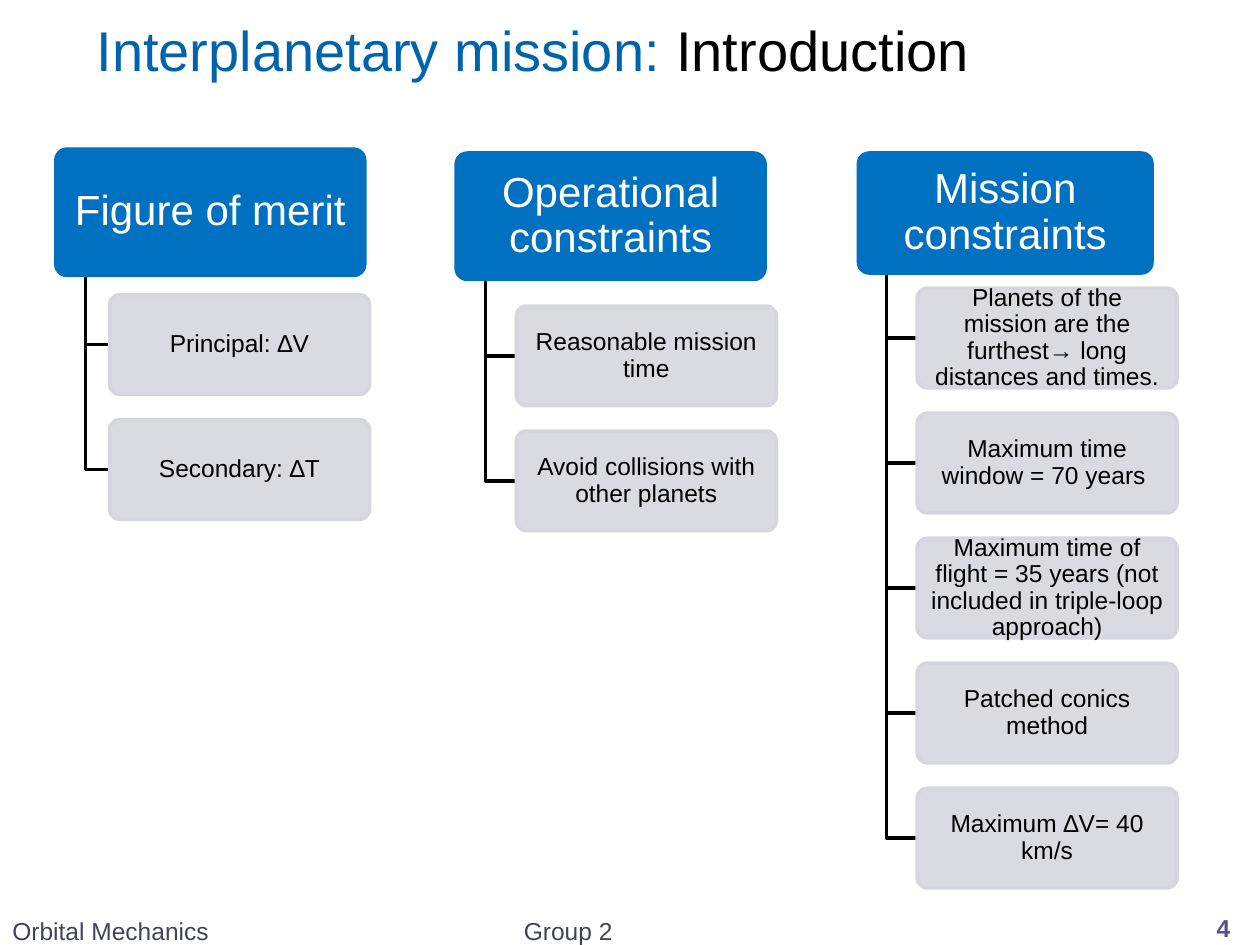
from dataclasses import dataclass

from lxml import etree
from pptx import Presentation
from pptx.dml.color import RGBColor
from pptx.enum.shapes import MSO_SHAPE
from pptx.enum.text import MSO_ANCHOR, PP_ALIGN
from pptx.oxml.ns import qn
from pptx.util import Cm, Pt

ROUND = MSO_SHAPE.ROUNDED_RECTANGLE
MIDDLE = MSO_ANCHOR.MIDDLE
LEFT, CENTER = PP_ALIGN.LEFT, PP_ALIGN.CENTER


@dataclass(frozen=True)
class Theme:
    font: str = "Arial"
    title: str = "0064AC"
    head: str = "0070C0"
    item: str = "D6D6DE"
    black: str = "000000"
    white: str = "FFFFFF"
    foot: str = "424456"
    page: str = "53548A"
    big: int = 32
    mid: int = 24
    small: int = 14
    line: int = 2
    alpha: int = 90


# Item size and pitch, in cm
ITEM_W, ITEM_H, PITCH = 5.24, 2.01, 2.52

# Head text, head box, left and top of first item, item texts
COLUMNS = [
    ("Figure of merit", (1.09, 2.97, 6.3, 2.62), (2.21, 5.94),
     ["Principal: ∆V", "Secondary: ∆T"]),
    ("Operational constraints", (9.16, 3.05, 6.3, 2.62), (10.41, 6.17),
     ["Reasonable mission time", "Avoid collisions with other planets"]),
    ("Mission constraints", (17.27, 3.05, 5.99, 2.49), (18.49, 5.81),
     ["Planets of the mission are the furthest→ long distances and times.",
      "Maximum time window = 70 years ",
      "Maximum time of flight = 35 years (not included in triple-loop approach)",
      "Patched conics method",
      "Maximum ∆V= 40 km/s"]),
]


def assign(target, values):
    for name, value in values.items():
        setattr(target, name, value)


class Deck:
    def __init__(self, theme):
        self.theme = theme
        self.file = Presentation()
        assign(self.file, {"slide_width": Cm(25.4), "slide_height": Cm(19.05)})
        self.slide = self.file.slides.add_slide(self.file.slide_layouts[6])

    def letter(self, shape, runs, size, align, pads, spacing=1.0, bold=False):
        """Fill a shape with one paragraph of (text, colour) runs."""
        frame = shape.text_frame
        side, edge = Cm(pads[0]), Cm(pads[1])
        assign(frame, {"word_wrap": True, "vertical_anchor": MIDDLE,
                       "margin_left": side, "margin_right": side,
                       "margin_top": edge, "margin_bottom": edge})
        para = frame.paragraphs[0]
        assign(para, {"alignment": align, "line_spacing": spacing})
        for text, color in runs:
            run = para.add_run()
            run.text = text
            assign(run.font, {"name": self.theme.font, "size": Pt(size),
                              "bold": bold})
            run.font.color.rgb = RGBColor.from_string(color)

    def label(self, box, runs, size, align=LEFT, bold=False):
        shape = self.slide.shapes.add_textbox(*map(Cm, box))
        self.letter(shape, runs, size, align, (0.25, 0.13), bold=bold)

    def block(self, box, fill):
        shape = self.slide.shapes.add_shape(ROUND, *map(Cm, box))
        shape.adjustments[0] = 0.1
        shape.shadow.inherit = False
        shape.fill.solid()
        shape.fill.fore_color.rgb = RGBColor.from_string(fill)
        return shape

    def head(self, box, text):
        shape = self.block(box, self.theme.head)
        shape.line.fill.background()
        self.letter(shape, [(text, self.theme.white)], self.theme.mid,
                    CENTER, (0.2, 0.15), 0.9)

    def item(self, box, text):
        shape = self.block(box, self.theme.item)
        self.stroke(shape, self.theme.item)
        color = shape.element.spPr.find(qn("a:solidFill"))[0]
        etree.SubElement(color, qn("a:alpha"),
                         val=str(self.theme.alpha * 1000))
        self.letter(shape, [(text, self.theme.black)], self.theme.small,
                    CENTER, (0.14, 0.11), 0.9)

    def elbow(self, x, top, right, y):
        pen = self.slide.shapes.build_freeform(Cm(x), Cm(top))
        pen.add_line_segments([(Cm(x), Cm(y)), (Cm(right), Cm(y))],
                              close=False)
        shape = pen.convert_to_shape()
        shape.shadow.inherit = False
        shape.fill.background()
        self.stroke(shape, self.theme.black)

    def stroke(self, shape, color):
        shape.line.color.rgb = RGBColor.from_string(color)
        shape.line.width = Pt(self.theme.line)

    def column(self, text, box, start, items):
        left, top, width, height = box
        x, first = start
        self.head(box, text)
        for i, entry in enumerate(items):
            y = first + i * PITCH
            self.elbow(left + width / 10, top + height, x, y + ITEM_H / 2)
            self.item((x, y, ITEM_W, ITEM_H), entry)


def main():
    theme = Theme()
    deck = Deck(theme)

    # Title
    deck.label((1.7, 0, 20.14, 1.98),
               [("Interplanetary mission: ", theme.title),
                ("Introduction", theme.black)], theme.big)

    # Columns
    for column in COLUMNS:
        deck.column(*column)

    # Footer
    deck.label((0, 18.47, 10.11, 0.58),
               [("Orbital Mechanics", theme.foot)], theme.small)
    deck.label((10.31, 18.47, 3.38, 0.58),
               [("Group 2", theme.foot)], theme.small)
    deck.label((23.93, 18.36, 1.47, 0.69),
               [("4", theme.page)], theme.small, CENTER, True)

    deck.file.save("out.pptx")


if __name__ == "__main__":
    main()
